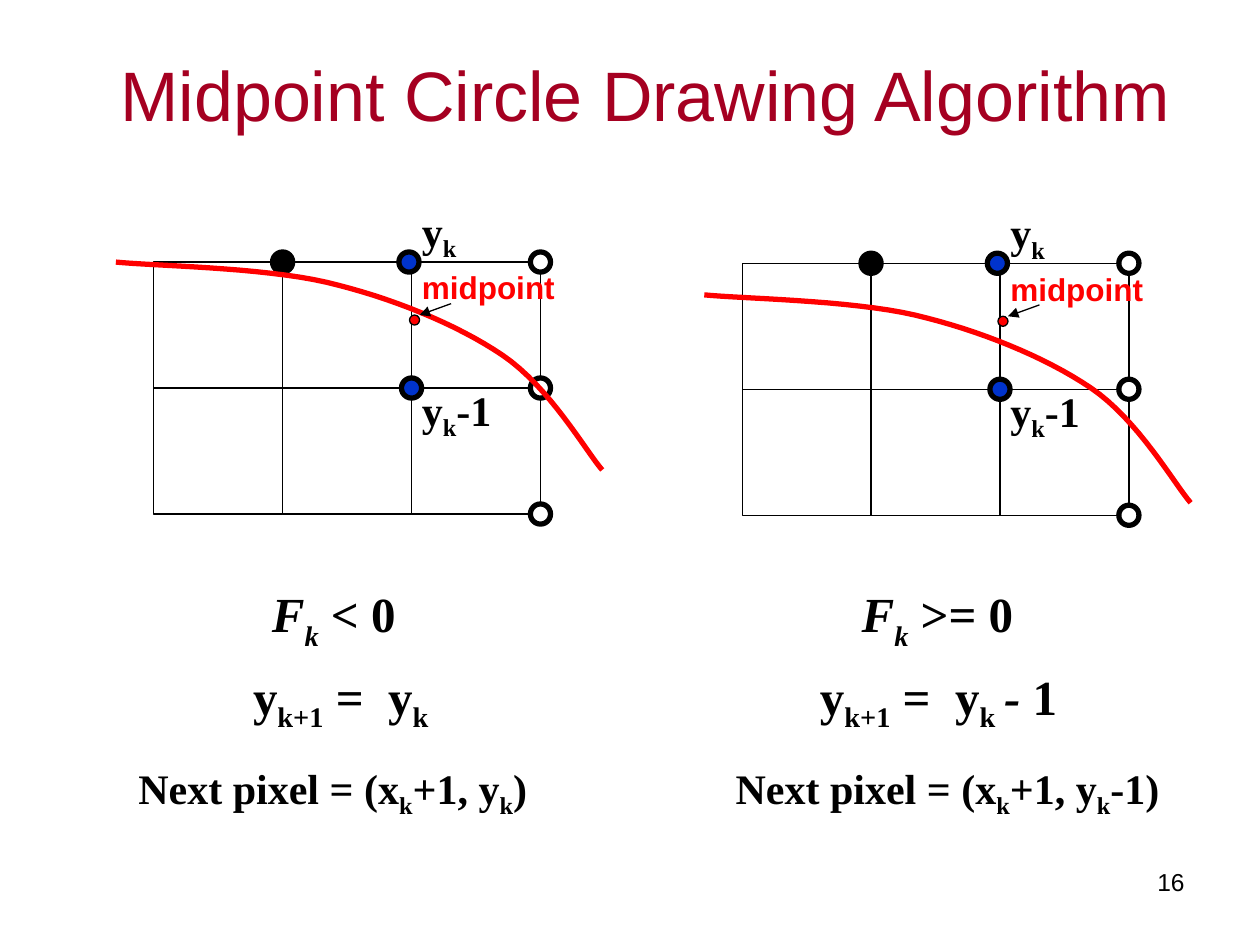
import pptx
import pptx.dml.color
import pptx.enum.shapes
import pptx.enum.text
import pptx.oxml
import pptx.oxml.ns
import pptx.util

COLUMNS, ROWS = 10, 7.5
CELL_WIDTH, CELL_HEIGHT = 3.07 / 3, 1
BLACK, WHITE, BLUE, RED, CRIMSON = "000000", "FFFFFF", "0033CC", "FF0000", "A50021"
SANS, SERIF = "Arial", "Times New Roman"
SUBSCRIPT = {"baseline": -25}
ITALIC = {"italic": True}

NODES = [(1, 0, BLACK), (1.98, 0, BLUE), (2, 1, BLUE), (3, 0, WHITE), (3, 1, WHITE), (3, 2, WHITE)]
CURVE = [(-0.3, 0), (-0.02, 0.03), (0.85, 0.04), (1.37, 0.16), (1.88, 0.28),
         (2.4, 0.49), (2.77, 0.74), (3.14, 0.99), (3.43, 1.5), (3.56, 1.65)]
Y_K = [("y", {}), ("k", SUBSCRIPT)]
NEXT_Y = [("y", {}), ("k+1", SUBSCRIPT), (" =  y", {}), ("k", SUBSCRIPT)]


def color(value):
    return pptx.dml.color.RGBColor.from_string(value)


def condition(comparison):
    return [("F", ITALIC), ("k", {"italic": True, "baseline": -30}), (comparison, {})]


def next_pixel(ending):
    return [("Next pixel = (x", {}), ("k", SUBSCRIPT), ("+1, y", {}), ("k", SUBSCRIPT), (ending, {})]


def bezier_points(controls, steps=16):
    points = [controls[0]]
    for first in range(0, len(controls) - 1, 3):
        segment = controls[first:first + 4]
        for step in range(1, steps + 1):
            t = step / steps
            weights = [(1 - t) ** 3, 3 * t * (1 - t) ** 2, 3 * t ** 2 * (1 - t), t ** 3]
            points.append(tuple(sum(weight * point[axis] for weight, point in zip(weights, segment))
                                for axis in (0, 1)))
    return points


class SlideBuilder:
    def __init__(self, presentation):
        self.column = presentation.slide_width / COLUMNS
        self.row = presentation.slide_height / ROWS
        self.slide = presentation.slides.add_slide(presentation.slide_layouts[5])
        self.shapes = self.slide.shapes

    def place(self, *lengths):
        units = (self.column, self.row)
        return [round(length * units[index % 2]) for index, length in enumerate(lengths)]

    def add_runs(self, frame, runs, size, font=SERIF, text_color=BLACK, bold=True, alignment="LEFT"):
        paragraph = frame.paragraphs[0]
        paragraph.alignment = getattr(pptx.enum.text.PP_ALIGN, alignment)
        for text, changes in runs:
            run = paragraph.add_run()
            run.text = text
            values = {"name": font, "size": pptx.util.Pt(size), "bold": bold, "italic": False, **changes}
            baseline = values.pop("baseline", None)
            for name, value in values.items():
                setattr(run.font, name, value)
            run.font.color.rgb = color(text_color)
            if baseline:
                run._r.get_or_add_rPr().set("baseline", str(baseline * 1000))

    def title(self, text, left, top, width, height):
        shape = self.shapes.title
        for name, value in zip(("left", "top", "width", "height"), self.place(left, top, width, height)):
            setattr(shape, name, value)
        shape.text_frame.vertical_anchor = pptx.enum.text.MSO_ANCHOR.MIDDLE
        self.add_runs(shape.text_frame, [(text, {})], 40, SANS, CRIMSON, False, "CENTER")

    def text(self, runs, left, top, width, height, size, wrap=False, **style):
        frame = self.shapes.add_textbox(*self.place(left, top, width, height)).text_frame
        frame.word_wrap = wrap
        frame.auto_size = pptx.enum.text.MSO_AUTO_SIZE.SHAPE_TO_FIT_TEXT
        self.add_runs(frame, runs, size, **style)

    def outline(self, shape, line_color, width, fill=None):
        shape.shadow.inherit = False
        if fill:
            shape.fill.solid()
            shape.fill.fore_color.rgb = color(fill)
        else:
            shape.fill.background()
        shape.line.color.rgb = color(line_color)
        shape.line.width = pptx.util.Pt(width)

    def cell(self, left, top):
        kind = pptx.enum.shapes.MSO_SHAPE.RECTANGLE
        shape = self.shapes.add_shape(kind, *self.place(left, top, CELL_WIDTH, CELL_HEIGHT))
        self.outline(shape, BLACK, 0.75)

    def dot(self, x, y, diameter, fill, width):
        kind = pptx.enum.shapes.MSO_SHAPE.OVAL
        corner = (x - diameter / 2, y - diameter / 2)
        shape = self.shapes.add_shape(kind, *self.place(*corner, diameter, diameter))
        self.outline(shape, BLACK, width, fill)

    def curve(self, controls):
        points = [self.place(*point) for point in bezier_points(controls)]
        builder = self.shapes.build_freeform(*points[0])
        builder.add_line_segments(points[1:], close=False)
        self.outline(builder.convert_to_shape(), RED, 3)

    def arrow(self, *ends):
        kind = pptx.enum.shapes.MSO_CONNECTOR.STRAIGHT
        connector = self.shapes.add_connector(kind, *self.place(*ends))
        connector.line.color.rgb = color(BLACK)
        connector.line.width = pptx.util.Pt(0.75)
        properties = connector._element.spPr
        head = pptx.oxml.parse_xml('<a:tailEnd %s type="triangle"/>' % pptx.oxml.ns.nsdecls("a"))
        properties.find(pptx.oxml.ns.qn("a:ln")).append(head)
        properties.append(pptx.oxml.parse_xml("<a:effectLst %s/>" % pptx.oxml.ns.nsdecls("a")))

    def pixel_grid(self, left, top, curve_drop):
        for column in range(3):
            for row in range(2):
                self.cell(left + column * CELL_WIDTH, top + row * CELL_HEIGHT)
        for column, row, fill in NODES:
            self.dot(left + column * CELL_WIDTH, top + row * CELL_HEIGHT, 0.16, fill, 3)
        label_left = left + 2.03
        self.text(Y_K, label_left, top - 0.5, 0.49, 0.5, 24)
        self.curve([(left + x, top + y + curve_drop) for x, y in CURVE])
        self.text(Y_K + [("-1", {})], label_left, top + 0.92, 0.77, 0.5, 24)
        self.dot(left + 2.07, top + 0.46, 0.08, RED, 0.75)
        self.text([("midpoint", {})], label_left, top, 1.92, 0.4, 18, True, font=SANS, text_color=RED)
        self.arrow(left + 2.36, top + 0.33, left + 2.11, top + 0.42)


def main():
    presentation = pptx.Presentation()
    presentation.slide_width = pptx.util.Inches(10)
    presentation.slide_height = pptx.util.Inches(7.5)
    builder = SlideBuilder(presentation)
    builder.title("Midpoint Circle Drawing Algorithm", 0.33, 0.08, 9.58, 1.33)
    builder.text([("16", {})], 7.17, 6.83, 2.33, 0.52, 14, True, font=SANS, bold=False, alignment="RIGHT")

    minus_one = [(" ", {"name": SANS, "size": pptx.util.Pt(18), "italic": True}), ("- ", ITALIC), ("1", {})]
    cases = [
        ((1.22, 2.08, 0), [(condition(" < 0"), 2.06, 1.2), (NEXT_Y, 1.91, 1.68),
                           (next_pixel(")"), 1, 3.32)]),
        ((5.89, 2.09, 0.25), [(condition(" >= 0"), 6.74, 1.43), (NEXT_Y + minus_one, 6.41, 2.17),
                              (next_pixel("-1)"), 5.74, 3.59)]),
    ]
    formula_rows = [(4.58, 0.57, 28), (5.24, 0.57, 28), (6, 0.5, 24)]
    for grid, formulas in cases:
        builder.pixel_grid(*grid)
        for (runs, left, width), (top, height, size) in zip(formulas, formula_rows):
            builder.text(runs, left, top, width, height, size)

    presentation.save("out.pptx")


if __name__ == "__main__":
    main()
